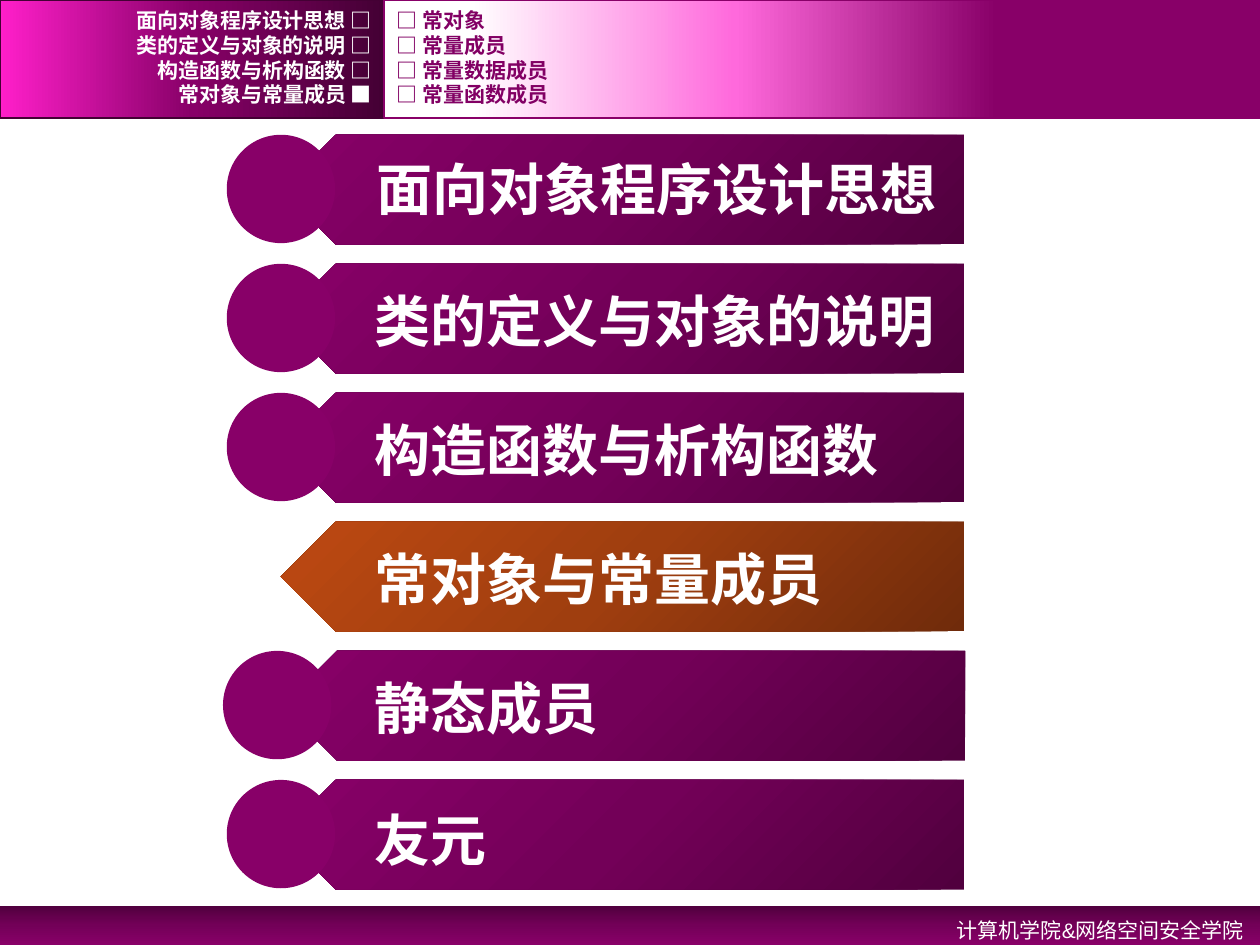
"""Build the agenda slide of a lecture on constant objects and members."""
from dataclasses import dataclass

from lxml.etree import SubElement
from pptx import Presentation
from pptx.dml.color import RGBColor
from pptx.enum.shapes import MSO_SHAPE
from pptx.enum.text import MSO_ANCHOR, PP_ALIGN
from pptx.oxml.ns import qn
from pptx.util import Inches, Pt


@dataclass(frozen=True)
class Theme:
    """Colours, gradients, fonts and type sizes."""
    white: str = "FFFFFF"
    purple: str = "880068"
    dark: str = "440034"
    section_ink: str = "820064"
    footer_font: str = "Arial"
    font: str = "Courier New"
    small: int = 12
    large: int = 32
    purple_fade: tuple = ((0, "51003E"), (50, "730058"), (100, "880068"))
    orange_fade: tuple = ((0, "702B0B"), (50, "9F3E0F"), (100, "BD4912"))
    chapter_fade: tuple = ((0, "440034"), (50, "880068"), (100, "FF1FCA"))
    section_fade: tuple = ((30, "880068"), (60, "FF69DC"), (90, "FFFFFF"))


THEME = Theme()
HEADER_SPLIT = 3.05
FIRST_ROW, LAST_ROW = 1.07, 6.19
CURRENT = "常对象与常量成员"
AGENDA = [
    ("面向对象程序设计思想", 2.89, 0.11, 2.23, 1.8),
    ("类的定义与对象的说明", 2.87, 0.13, 2.23, 1.8),
    ("构造函数与析构函数", 2.87, 0.13, 2.23, 1.8),
    (CURRENT, 2.87, 0.13, 2.23, None),
    ("静态成员", 2.87, 0.13, 2.24, 1.77),
    ("友元", 2.87, 0.15, 2.23, 1.8),
]
SECTIONS = ["常对象", "常量成员", "常量数据成员", "常量函数成员"]


def fill_gradient(shape, stops, angle):
    """Give a shape a linear gradient with any number of stops."""
    shape.fill.gradient()
    gradient = shape._element.spPr.find(qn("a:gradFill"))
    for child in list(gradient):
        gradient.remove(child)
    stop_list = SubElement(gradient, qn("a:gsLst"))
    for position, color in stops:
        stop = SubElement(stop_list, qn("a:gs"), pos=str(position * 1000))
        SubElement(stop, qn("a:srgbClr"), val=color)
    SubElement(gradient, qn("a:lin"), ang=str(angle * 60000), scaled="0")


def add_block(slide, preset, box, fill, angle=0, line=None):
    """Add a preset shape with a solid or gradient fill."""
    block = slide.shapes.add_shape(preset, *map(Inches, box))
    block.shadow.inherit = False
    if isinstance(fill, str):
        block.fill.solid()
        block.fill.fore_color.rgb = RGBColor.from_string(fill)
    else:
        fill_gradient(block, fill, angle)
    if line:
        block.line.color.rgb = RGBColor.from_string(line)
        block.line.width = Pt(1)
    else:
        block.line.fill.background()
    return block


def add_text(slide, words, box, size=THEME.small, color=THEME.white, font=THEME.font,
             bold=True, align=PP_ALIGN.LEFT, anchor=MSO_ANCHOR.TOP, spacing=None):
    """Add one line of formatted text."""
    frame = slide.shapes.add_textbox(*map(Inches, box)).text_frame
    frame.word_wrap = True
    frame.vertical_anchor = anchor
    paragraph = frame.paragraphs[0]
    paragraph.alignment = align
    paragraph.line_spacing = spacing
    run = paragraph.add_run()
    run.text = words
    run.font.size = Pt(size)
    run.font.name = font
    run.font.bold = bold
    run.font.color.rgb = RGBColor.from_string(color)


def add_header(slide):
    """Add the chapter list and the section list at the top."""
    add_block(slide, MSO_SHAPE.RECTANGLE, (0, 0, HEADER_SPLIT, 0.94),
              THEME.chapter_fade, 180, THEME.dark)
    add_block(slide, MSO_SHAPE.RECTANGLE, (HEADER_SPLIT, 0, 10 - HEADER_SPLIT, 0.94),
              THEME.section_fade, 180, THEME.purple)
    for index, (entry, section) in enumerate(zip(AGENDA, SECTIONS)):
        chapter = entry[0]
        top = 0.06 + index * 0.59 / 3
        mark = "■" if chapter == CURRENT else "□"
        add_text(slide, f"{chapter} {mark}", (0, top, HEADER_SPLIT, 0.2),
                 align=PP_ALIGN.RIGHT, anchor=MSO_ANCHOR.MIDDLE)
        add_text(slide, f"□ {section}", (HEADER_SPLIT, top, 6.02, 0.2),
                 color=THEME.section_ink, anchor=MSO_ANCHOR.MIDDLE)


def add_agenda(slide):
    """Add one arrow bar per chapter, with the current one in orange."""
    pitch = (LAST_ROW - FIRST_ROW) / (len(AGENDA) - 1)
    for index, (chapter, title_left, title_drop, bar_left, dot_left) in enumerate(AGENDA):
        top = FIRST_ROW + index * pitch
        fade = THEME.orange_fade if chapter == CURRENT else THEME.purple_fade
        bar = add_block(slide, MSO_SHAPE.PENTAGON, (bar_left, top, 5.42, 0.87), fade, 315)
        bar._element.spPr.xfrm.set("flipH", "1")
        if dot_left is not None:
            add_block(slide, MSO_SHAPE.OVAL, (dot_left, top, 0.86, 0.86), THEME.purple)
        add_text(slide, chapter, (title_left, top + title_drop, 4.72, 0.64), size=THEME.large)


def add_footer(slide):
    """Add the bottom band with the school names."""
    add_block(slide, MSO_SHAPE.RECTANGLE, (0, 7.19, 10, 0.31), THEME.purple_fade, 90)
    add_text(slide, "计算机学院&网络空间安全学院", (6.42, 7.19, 3.55, 0.32),
             font=THEME.footer_font, bold=False, align=PP_ALIGN.RIGHT, spacing=1.2)


def main():
    """Build and save the slide."""
    deck = Presentation()
    deck.slide_width, deck.slide_height = Inches(10), Inches(7.5)
    slide = deck.slides.add_slide(deck.slide_layouts[6])
    add_footer(slide)
    add_header(slide)
    add_agenda(slide)
    deck.save("out.pptx")


if __name__ == "__main__":
    main()
